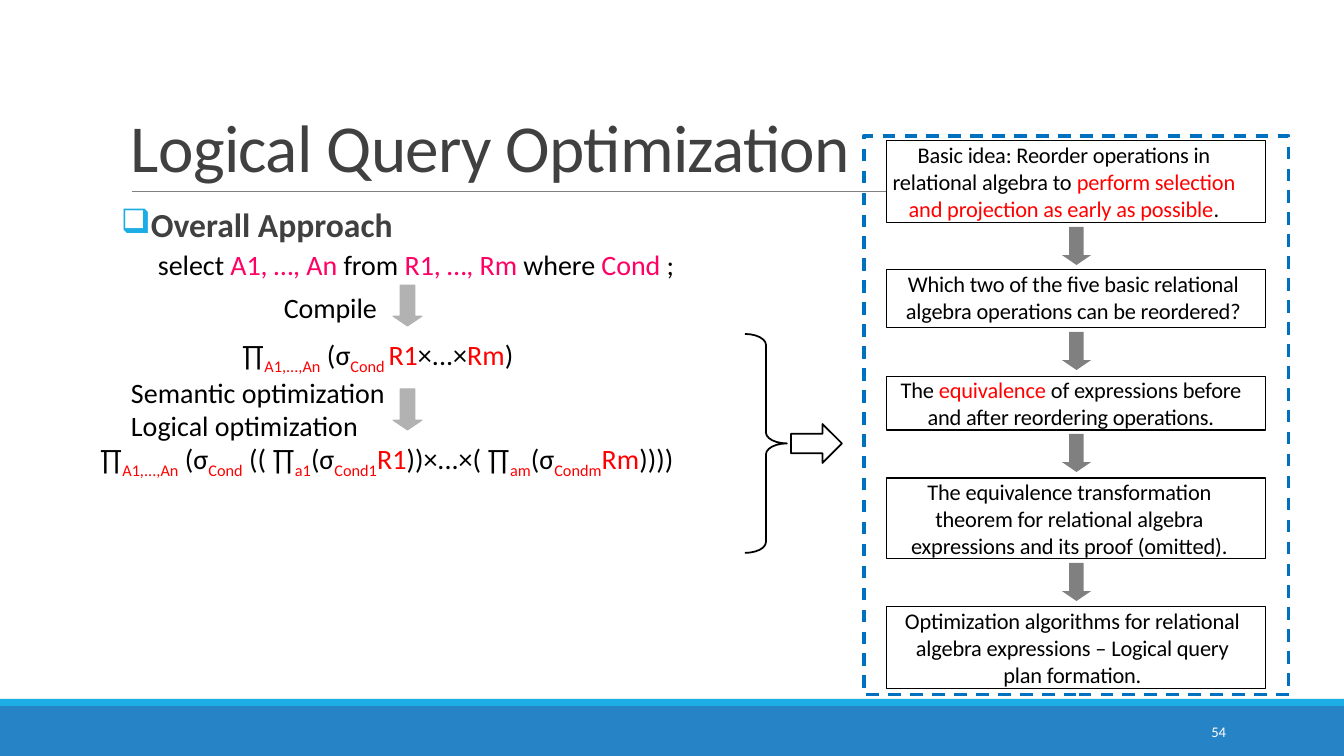
from dataclasses import dataclass

from lxml import etree
from pptx import Presentation
from pptx.dml.color import RGBColor
from pptx.enum.dml import MSO_LINE
from pptx.enum.shapes import MSO_CONNECTOR, MSO_SHAPE
from pptx.enum.text import MSO_ANCHOR, PP_ALIGN
from pptx.oxml.ns import qn
from pptx.util import Emu, Pt

RECT = MSO_SHAPE.RECTANGLE
DOWN = MSO_SHAPE.DOWN_ARROW
RIGHT = MSO_SHAPE.RIGHT_ARROW
BRACE = MSO_SHAPE.RIGHT_BRACE
STRAIGHT = MSO_CONNECTOR.STRAIGHT
DASH = MSO_LINE.DASH
TOP, MIDDLE, BOTTOM = MSO_ANCHOR.TOP, MSO_ANCHOR.MIDDLE, MSO_ANCHOR.BOTTOM
LEFT, CENTER, END = PP_ALIGN.LEFT, PP_ALIGN.CENTER, PP_ALIGN.RIGHT
SCALE = 914400 / 100.8


@dataclass(frozen=True)
class Theme:
    font: str = "Calibri"
    black: str = "000000"
    white: str = "FFFFFF"
    ink: str = "404040"
    red: str = "FF0000"
    pink: str = "FF0065"
    bar: str = "2683C6"
    accent: str = "1CADE4"
    dash: str = "0070C0"
    gray: str = "808080"
    pale: str = "B2B2B2"
    title: int = 48
    heading: int = 24
    body: int = 20
    step: int = 16
    number: float = 10.5


T = Theme()


def px(n):
    return Emu(round(n * SCALE))


def rgb(c):
    return RGBColor.from_string(c)


def red(text):
    return text, T.red, 0


def pink(text):
    return text, T.pink, 0


def sub(text):
    return text, T.red, -25000


def set_bullet(p, char, color, indent):
    pPr = p._p.get_or_add_pPr()
    pPr.set("marL", str(px(indent)))
    pPr.set("indent", str(-px(indent)))
    clr = etree.SubElement(pPr, qn("a:buClr"))
    etree.SubElement(clr, qn("a:srgbClr")).set("val", color)
    etree.SubElement(pPr, qn("a:buChar")).set("char", char)


def write(tf, *paras, size=T.body, color=T.black, bold=False, spc=0, align=LEFT,
          anchor=TOP, ins=(0, 0, 0, 0), spacing=None, bullet=None):
    tf.word_wrap = True
    tf.vertical_anchor = anchor
    tf.margin_left, tf.margin_top, tf.margin_right, tf.margin_bottom = map(px, ins)
    for i, runs in enumerate(paras):
        p = tf.add_paragraph() if i else tf.paragraphs[0]
        p.alignment = align
        if spacing:
            p.line_spacing = spacing
        if bullet:
            set_bullet(p, bullet, T.accent, 10)
        for run in runs:
            text, c, base = (run, color, 0) if isinstance(run, str) else run
            r = p.add_run()
            r.text = text
            r.font.name, r.font.size, r.font.bold = T.font, Pt(size), bold
            r.font.color.rgb = rgb(c)
            rPr = r._r.get_or_add_rPr()
            if spc:
                rPr.set("spc", str(spc))
            if base:
                rPr.set("baseline", str(base))


def add_text(s, box, *paras, **fmt):
    write(s.shapes.add_textbox(*map(px, box)).text_frame, *paras, **fmt)


def add_block(s, kind, box, fill=None, line=None, width=0.75, dash=None, adj=()):
    sp = s.shapes.add_shape(kind, *map(px, box))
    sp.shadow.inherit = False
    if fill:
        sp.fill.solid()
        sp.fill.fore_color.rgb = rgb(fill)
    else:
        sp.fill.background()
    if line:
        sp.line.color.rgb = rgb(line)
        sp.line.width = Pt(width)
        if dash:
            sp.line.dash_style = dash
    else:
        sp.line.fill.background()
    for i, value in enumerate(adj):
        sp.adjustments[i] = value
    return sp


def add_rule(s, x1, x2, y):
    cn = s.shapes.add_connector(STRAIGHT, px(x1), px(y), px(x2), px(y))
    cn.line.color.rgb = rgb(T.gray)
    cn.line.width = Pt(0.5)
    etree.SubElement(cn._element.spPr, qn("a:effectLst"))


def add_down_arrow(s, x, y, h, color, line=None):
    add_block(s, DOWN, (x, y, 29, h), fill=color, line=line, adj=(0.5, 0.34))


def add_step(s, top, height, left_ins, right_ins, runs):
    sp = add_block(s, RECT, (887, top, 379, height), fill=T.white, line=T.black)
    write(sp.text_frame, runs, size=T.step, spc=-10, align=CENTER,
          ins=(left_ins, 0, right_ins, 0))


def add_frame(s):
    add_block(s, RECT, (0, 706, 1344, 50), fill=T.bar)
    add_block(s, RECT, (0, 699, 1344, 7), fill=T.accent)
    add_rule(s, 132, 1231, 191)
    add_text(s, (121, 31, 1109, 160), ["Logical Query Optimization"], size=T.title,
             color=T.ink, spc=-50, anchor=BOTTOM, ins=(10, 5, 10, 5), spacing=0.85)
    add_text(s, (1092, 712, 144, 40), ["54"], size=T.number, color=T.white,
             align=END, anchor=MIDDLE, ins=(10, 5, 10, 5))


def add_approach(s):
    add_text(s, (121, 204, 700, 48), ["Overall Approach"], size=T.heading,
             color=T.ink, bold=True, ins=(0, 5, 0, 5), spacing=0.9, bullet="❑")
    add_text(s, (158, 239, 594, 39),
             ["select ", pink("A1, …, An "), "from ", pink("R1, …, Rm "),
              "where ", pink("Cond "), ";"], spc=-5, spacing=1.25)
    add_text(s, (284, 290, 105, 34), ["Compile"], spc=-10)
    add_text(s, (232, 332, 340, 44),
             ["∏", sub("A1,...,An"), " (σ", sub("Cond "), red("R1"), "×...×",
              red("Rm"), ")"], ins=(10, 5, 10, 5))
    add_text(s, (131, 375, 305, 68), ["Semantic optimization"],
             ["Logical optimization"])
    add_text(s, (90, 436, 664, 44),
             ["∏", sub("A1,...,An"), " (σ", sub("Cond"), " (( ∏", sub("a1"), "(σ",
              sub("Cond1"), red("R1"), "))×...×( ∏", sub("am"), "(σ",
              sub("Condm"), red("Rm"), "))))"], ins=(10, 5, 10, 5))
    for y in (285, 389):
        add_down_arrow(s, 393, y, 41, T.pale, line=T.pale)


def add_steps(s):
    add_block(s, BRACE, (745, 334, 42, 219), line=T.black, width=1.25, adj=(0.26, 0.5))
    add_block(s, RIGHT, (791, 424, 51, 39), line=T.black, width=1.25)
    steps = [
        (141, 82, 0, 25, ["Basic idea: Reorder operations in relational algebra to ",
                          red("perform selection and projection as early as possible"),
                          "."]),
        (270, 58, 10, 16, ["Which two of the five basic relational algebra "
                           "operations can be reordered?"]),
        (376, 54, 10, 21, ["The ", red("equivalence"),
                           " of expressions before and after reordering operations."]),
        (478, 81, 10, 24, ["The equivalence transformation theorem for relational "
                           "algebra expressions and its proof (omitted)."]),
        (607, 82, 10, 18, ["Optimization algorithms for relational algebra "
                           "expressions – Logical query plan formation."]),
    ]
    for step in steps:
        add_step(s, *step)
    for top, height, *_ in steps[:-1]:
        add_down_arrow(s, 1062, top + height + 4, 38, T.gray)
    add_block(s, RECT, (864, 136, 425, 559), line=T.dash, width=2.25, dash=DASH)


def main():
    prs = Presentation()
    prs.slide_width, prs.slide_height = px(1344), px(756)
    s = prs.slides.add_slide(prs.slide_layouts[6])
    add_frame(s)
    add_approach(s)
    add_steps(s)
    prs.save("out.pptx")


if __name__ == "__main__":
    main()
